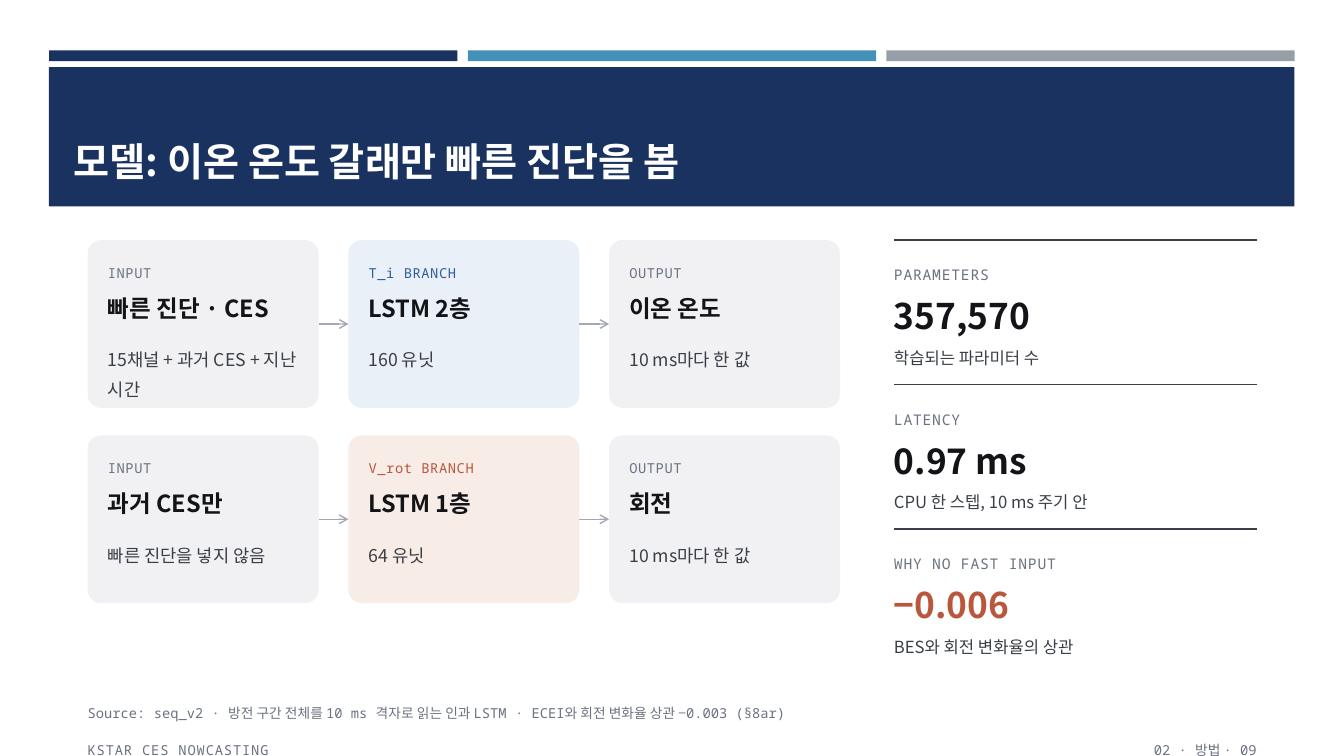
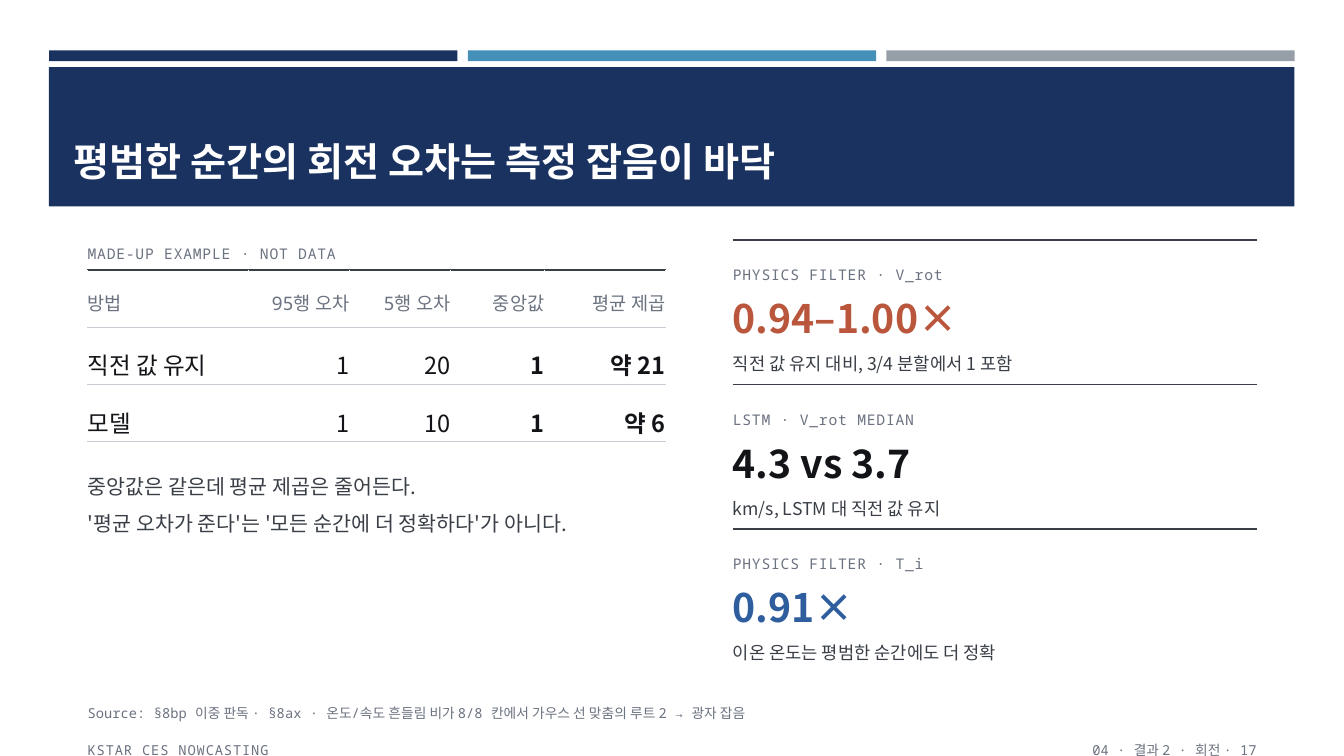
from pptx import Presentation
from pptx.dml.color import RGBColor
from pptx.enum.shapes import MSO_CONNECTOR, MSO_SHAPE
from pptx.enum.text import MSO_ANCHOR, MSO_AUTO_SIZE, PP_ALIGN
from pptx.oxml.ns import qn
from pptx.util import Cm, Pt
from lxml.etree import SubElement

SANS, MONO = "Noto Sans CJK KR", "Noto Sans Mono"
NAVY, SKY, STEEL, WHITE = "1A3260", "4590B8", "969FA7", "FFFFFF"
INK, BODY, MUTED, ARROW, RULE = "121418", "3A3F47", "6B7280", "A4A9B1", "C9CDD3"
BLUE, RUST = "2F5E9E", "B9563C"
PALE, ICE, PEACH = "F1F1F4", "E9F0F8", "F8ECE7"

LEFT, RIGHT, TOP = 2.21, 31.67, 6.05


def tint(code):
    return RGBColor.from_string(code)


def write(frame, text, size=12.6, color=BODY, font=SANS, bold=False,
          space=None, track=0, align=PP_ALIGN.LEFT):
    """Fill a text frame, one paragraph per line; track is in points."""
    for i, line in enumerate(text.split("\n")):
        para = frame.add_paragraph() if i else frame.paragraphs[0]
        para.alignment = align
        if space:
            para.line_spacing = space
        run = para.add_run()
        run.text = line
        run.font.name = font
        run.font.size = Pt(size)
        run.font.bold = bold
        run.font.color.rgb = tint(color)
        props = run.font._element
        SubElement(props, qn("a:ea")).set("typeface", SANS)
        if track:
            props.set("spc", str(round(track * 100)))


def edge(cell, side, color, width):
    """Put a border on one side of a cell whose fill is already set."""
    props = cell._tc.get_or_add_tcPr()
    line = SubElement(props, qn("a:" + side), w=str(Pt(width)))
    fill = SubElement(line, qn("a:solidFill"))
    SubElement(fill, qn("a:srgbClr")).set("val", color)
    props.insert(0, line)


class Deck:
    def __init__(self):
        self.show = Presentation()
        self.show.slide_width, self.show.slide_height = Cm(33.87), Cm(19.05)
        self.slide = None

    def page(self, title, source, mark):
        """Start a slide with its bands, title, source line and footer."""
        self.slide = self.show.slides.add_slide(self.show.slide_layouts[5])
        for i, color in enumerate((NAVY, SKY, STEEL)):
            self.box(1.24 + i * 10.55, 1.27, 10.29, 0.27, color)
        self.box(1.23, 1.69, 31.39, 3.51, NAVY)
        self.title(title)
        self.text(LEFT, 17.65, RIGHT - LEFT, 0.7, source,
                  size=9.8, color=MUTED, font=MONO, space=1.25)
        foot = dict(size=9.8, color=MUTED, font=MONO, space=1.25)
        self.text(LEFT, 18.59, 13.54, 0.46, "KSTAR CES NOWCASTING",
                  track=0.6, **foot)
        self.text(RIGHT - 13.54, 18.59, 13.54, 0.46, mark,
                  align=PP_ALIGN.RIGHT, **foot)

    def title(self, text):
        head = self.slide.shapes.title
        self.slide.shapes.element.append(head.element)  # in front of the band
        head.left, head.top = Cm(1.6), Cm(2.03)
        head.width, head.height = Cm(30.63), Cm(2.74)
        frame = head.text_frame
        frame.auto_size = MSO_AUTO_SIZE.NONE
        frame.vertical_anchor = MSO_ANCHOR.BOTTOM
        write(frame, text, size=28, color=WHITE, bold=True)

    def box(self, x, y, w, h, color, form=MSO_SHAPE.RECTANGLE):
        shape = self.slide.shapes.add_shape(form, Cm(x), Cm(y), Cm(w), Cm(h))
        shape.shadow.inherit = False
        shape.fill.solid()
        shape.fill.fore_color.rgb = tint(color)
        shape.line.fill.background()
        return shape

    def text(self, x, y, w, h, text, **style):
        frame = self.slide.shapes.add_textbox(
            Cm(x), Cm(y), Cm(w), Cm(h)).text_frame
        frame.word_wrap = True
        frame.margin_left = frame.margin_right = 0
        frame.margin_top = frame.margin_bottom = 0
        write(frame, text, **style)

    def line(self, x, y, end, color=BODY, width=1.25):
        """Draw a level line from x to end."""
        line = self.slide.shapes.add_connector(
            MSO_CONNECTOR.STRAIGHT, Cm(x), Cm(y), Cm(end), Cm(y))
        line.line.color.rgb = tint(color)
        line.line.width = Pt(width)
        SubElement(line.element.spPr, qn("a:effectLst"))
        return line

    def arrow(self, start, end):
        """Join the right side of one card to the left side of the next."""
        line = self.line(0, 0, 1, ARROW, 1)
        line.begin_connect(start, 3)
        line.end_connect(end, 1)
        SubElement(line.element.spPr.find(qn("a:ln")), qn("a:tailEnd"),
                   type="arrow")

    def card(self, x, y, label, head, note, fill=PALE, accent=MUTED):
        shape = self.box(x, y, 5.82, 4.23, fill, MSO_SHAPE.ROUNDED_RECTANGLE)
        shape.adjustments[0] = 0.08
        x, wide = x + 0.51, 4.8
        self.text(x, y + 0.51, wide, 0.69, label, size=9.8, color=accent,
                  font=MONO, space=1.25, track=0.4)
        self.text(x, y + 1.22, wide, 1.2, head, size=16.8, color=INK,
                  bold=True, space=1.2)
        self.text(x, y + 2.54, wide, 1.52, note, space=1.4)
        return shape

    def flow(self, y, cards):
        row = [self.card(LEFT + i * 6.57, y, *card)
               for i, card in enumerate(cards)]
        for pair in zip(row, row[1:]):
            self.arrow(*pair)

    def stats(self, x, items, size, small, drop):
        """Stack ruled figures; drop is how far the note sits below its rule."""
        wide = RIGHT - x
        for i, (label, value, note, color) in enumerate(items):
            y = TOP + i * 3.64
            self.line(x, y, RIGHT)
            self.text(x, y + 0.55, wide, 0.58, label, size=10.5, color=MUTED,
                      font=MONO, space=1.25, track=0.6)
            self.text(x, y + 1.37, wide, 1.1, value, size=size, color=color,
                      bold=True)
            self.text(x, y + drop, wide, 0.9, note, size=small, space=1.4)

    def table(self, x, y, widths, rows, high=1.44):
        table = self.slide.shapes.add_table(
            len(rows), len(widths), Cm(x), Cm(y), Cm(sum(widths)),
            Cm(high * len(rows))).table
        table.first_row = table.horz_banding = False
        for col, wide in zip(table.columns, widths):
            col.width = Cm(wide)
        for r, row in enumerate(rows):
            table.rows[r].height = Cm(high)
            style = (dict(size=16.8, color=INK) if r
                     else dict(size=13.3, color=MUTED, font=MONO))
            for c, text in enumerate(row):
                cell = table.cell(r, c)
                cell.margin_left = cell.margin_right = cell.margin_bottom = 0
                cell.margin_top = Cm(0.3)
                cell.fill.background()
                edge(cell, "lnB", RULE, 1)
                edge(cell, "lnT", *((RULE, 1) if r else (BODY, 1.25)))
                write(cell.text_frame, text, space=1.25,
                      bold=r > 0 and c > 2,
                      align=PP_ALIGN.RIGHT if c else PP_ALIGN.LEFT, **style)


def model(deck):
    deck.page("모델: 이온 온도 갈래만 빠른 진단을 봄",
              "Source: seq_v2 · 방전 구간 전체를 10 ms 격자로 읽는 인과 LSTM · "
              "ECEI와 회전 변화율 상관 −0.003 (§8ar)",
              "02 · 방법 · 09")
    deck.flow(TOP, [
        ("INPUT", "빠른 진단 · CES", "15채널 + 과거 CES + 지난 시간"),
        ("T_i BRANCH", "LSTM 2층", "160 유닛", ICE, BLUE),
        ("OUTPUT", "이온 온도", "10 ms마다 한 값")])
    deck.flow(TOP + 4.92, [
        ("INPUT", "과거 CES만", "빠른 진단을 넣지 않음"),
        ("V_rot BRANCH", "LSTM 1층", "64 유닛", PEACH, RUST),
        ("OUTPUT", "회전", "10 ms마다 한 값")])
    deck.stats(22.53, [
        ("PARAMETERS", "357,570", "학습되는 파라미터 수", INK),
        ("LATENCY", "0.97 ms", "CPU 한 스텝, 10 ms 주기 안", INK),
        ("WHY NO FAST INPUT", "−0.006", "BES와 회전 변화율의 상관", RUST),
    ], size=25.2, small=11.9, drop=2.51)


def result(deck):
    deck.page("평범한 순간의 회전 오차는 측정 잡음이 바닥",
              "Source: §8bp 이중 판독 · §8ax · 온도/속도 흔들림 비가 8/8 칸에서 "
              "가우스 선 맞춤의 루트 2 → 광자 잡음",
              "04 · 결과 2 · 회전 · 17")
    widths = (4.06, 2.54, 2.54, 2.37, 3.05)
    deck.text(LEFT, TOP, sum(widths), 0.58, "MADE-UP EXAMPLE · NOT DATA",
              size=10.5, color=MUTED, font=MONO, space=1.25, track=0.6)
    deck.table(LEFT, 6.81, widths, [
        ("방법", "95행 오차", "5행 오차", "중앙값", "평균 제곱"),
        ("직전 값 유지", "1", "20", "1", "약 21"),
        ("모델", "1", "10", "1", "약 6")])
    deck.text(LEFT, 11.63, sum(widths), 2.72,
              "중앙값은 같은데 평균 제곱은 줄어든다.\n"
              "'평균 오차가 준다'는 '모든 순간에 더 정확하다'가 아니다.",
              size=14.7, space=1.5)
    deck.stats(18.47, [
        ("PHYSICS FILTER · V_rot", "0.94–1.00×",
         "직전 값 유지 대비, 3/4 분할에서 1 포함", RUST),
        ("LSTM · V_rot MEDIAN", "4.3 vs 3.7",
         "km/s, LSTM 대 직전 값 유지", INK),
        ("PHYSICS FILTER · T_i", "0.91×",
         "이온 온도는 평범한 순간에도 더 정확", BLUE),
    ], size=28, small=12.6, drop=2.64)


def main():
    deck = Deck()
    model(deck)
    result(deck)
    deck.show.save("out.pptx")


if __name__ == "__main__":
    main()
